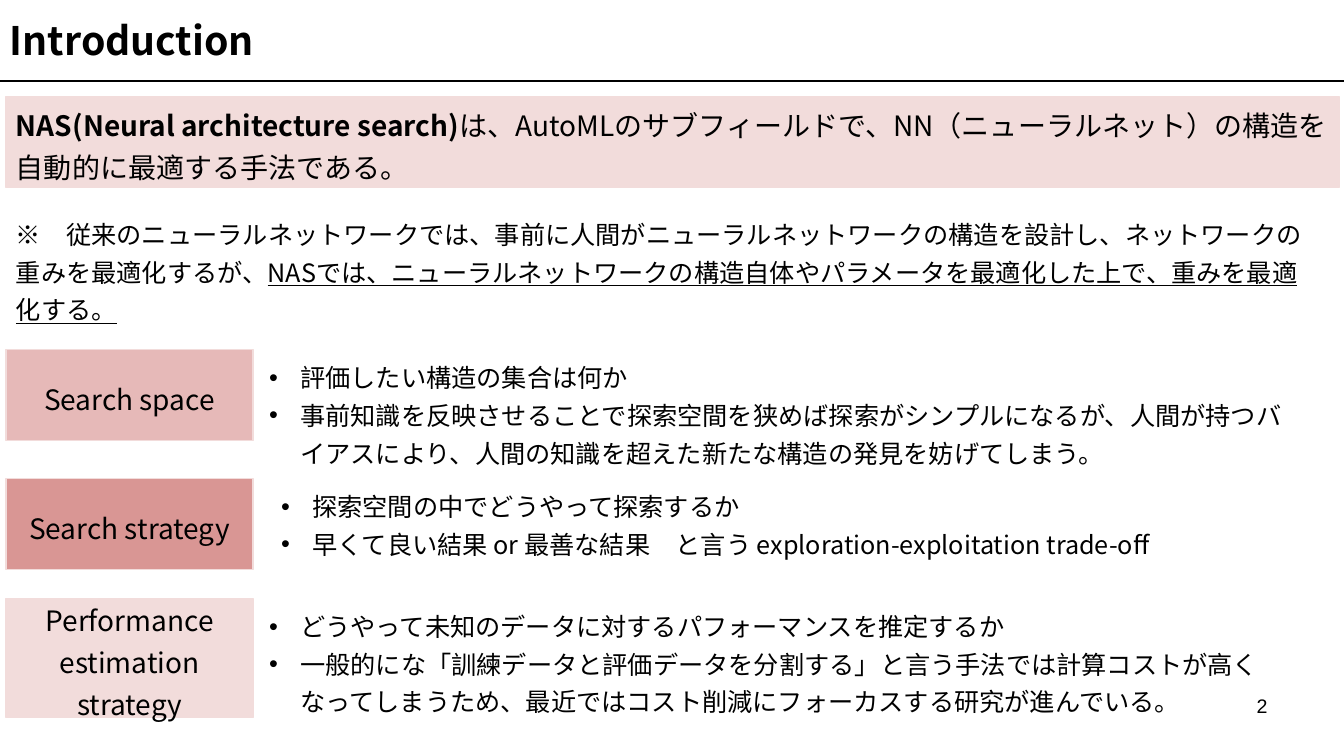
from lxml.etree import SubElement
from pptx import Presentation
from pptx.dml.color import RGBColor
from pptx.enum.shapes import MSO_CONNECTOR, MSO_SHAPE
from pptx.enum.text import MSO_ANCHOR, MSO_AUTO_SIZE, PP_ALIGN
from pptx.oxml.ns import qn
from pptx.util import Pt

# Content: each paragraph is a list of (text, style) runs
TITLE = [[("Introduction", "bold")]]
DEFINITION = [[
    ("NAS(Neural architecture search)", "bold"),
    ("は、AutoMLのサブフィールドで、NN（ニューラルネット）の構造を自動的に最適する手法である。", ""),
]]
REMARK = [[
    ("※　従来のニューラルネットワークでは、事前に人間がニューラルネットワークの構造を設計し、"
     "ネットワークの重みを最適化するが、", ""),
    ("NASでは、ニューラルネットワークの構造自体やパラメータを最適化した上で、重みを最適化する。", "underline"),
]]
# label, fill, top, label height, notes left, notes height, notes
TOPICS = [
    ("Search space", "rose", 347, 90, 257, 124, [
        "評価したい構造の集合は何か",
        "事前知識を反映させることで探索空間を狭めば探索がシンプルになるが、"
        "人間が持つバイアスにより、人間の知識を超えた新たな構造の発見を妨げてしまう。"]),
    ("Search strategy", "red", 475, 90, 269, 86, [
        "探索空間の中でどうやって探索するか",
        "早くて良い結果 or 最善な結果　と言う exploration-exploitation trade-off"]),
    ("Performance estimation strategy", "pale", 594, 118, 257, 124, [
        "どうやって未知のデータに対するパフォーマンスを推定するか",
        "一般的にな「訓練データと評価データを分割する」と言う手法では計算コストが高くなってしまうため、"
        "最近ではコスト削減にフォーカスする研究が進んでいる。"]),
]
PAGE_NUMBER = [[("2", "")]]

COLORS = {"black": "000000", "pale": "F2DCDB", "rose": "E6B9B8", "red": "D99694"}
FONT, NUMBER_FONT = "Noto Sans CJK JP", "Arial"
WIDTH, HEIGHT = 1333, 750
LEFT, LABEL_WIDTH, NOTES_WIDTH = 6, 245, 1047
INDENT = 31
LINE_SPACING = 1.25


def px(length):
    """One px is a hundredth of an inch."""
    return length * 9144


def color(name):
    return RGBColor.from_string(COLORS[name])


def add_bullet(paragraph):
    properties = paragraph._p.get_or_add_pPr()
    properties.set("marL", str(px(INDENT)))
    properties.set("indent", str(px(-INDENT)))
    SubElement(properties, qn("a:buFont"), typeface="Arial")
    SubElement(properties, qn("a:buChar"), char="•")


def write(frame, paragraphs, size, font=FONT, align=PP_ALIGN.LEFT,
          spacing=LINE_SPACING, bullets=False):
    frame.word_wrap = True
    for index, runs in enumerate(paragraphs):
        paragraph = frame.add_paragraph() if index else frame.paragraphs[0]
        paragraph.alignment = align
        paragraph.line_spacing = spacing
        if bullets:
            add_bullet(paragraph)
        paragraph.font.size = Pt(size)
        paragraph.font.color.rgb = color("black")
        paragraph.font.name = font
        SubElement(paragraph.font._element, qn("a:ea"), typeface=font)
        for text, style in runs:
            run = paragraph.add_run()
            run.text = text
            if style == "bold":
                run.font.bold = True
            elif style == "underline":
                run.font.underline = True


def add_text(slide, box, paragraphs, size, grow=True, **options):
    frame = slide.shapes.add_textbox(*map(px, box)).text_frame
    write(frame, paragraphs, size, **options)
    frame.auto_size = MSO_AUTO_SIZE.SHAPE_TO_FIT_TEXT if grow else MSO_AUTO_SIZE.NONE


def add_panel(slide, box, fill, paragraphs, align):
    shape = slide.shapes.add_shape(MSO_SHAPE.RECTANGLE, *map(px, box))
    shape.shadow.inherit = False
    shape.fill.solid()
    shape.fill.fore_color.rgb = color(fill)
    shape.line.color.rgb = color("pale")
    shape.line.width = Pt(1)
    shape.text_frame.vertical_anchor = MSO_ANCHOR.MIDDLE
    write(shape.text_frame, paragraphs, 20, align=align)


def main():
    presentation = Presentation()
    presentation.slide_width, presentation.slide_height = px(WIDTH), px(HEIGHT)
    slide = presentation.slides.add_slide(presentation.slide_layouts[6])

    # Title and rule
    rule = slide.shapes.add_connector(MSO_CONNECTOR.STRAIGHT, 0, px(80), px(WIDTH), px(80))
    rule.line.color.rgb = color("black")
    rule.line.width = Pt(1.5)
    SubElement(rule._element.spPr, qn("a:effectLst"))
    add_text(slide, (0, 11, 691, 57), TITLE, 28, spacing=1.0)

    # Definition and remark
    add_panel(slide, (LEFT, 96, 1322, 90), "pale", DEFINITION, PP_ALIGN.LEFT)
    add_text(slide, (LEFT, 205, 1298, 124), REMARK, 18)

    # Topics: a label with its notes
    for label, fill, top, label_height, notes_left, notes_height, notes in TOPICS:
        add_panel(slide, (LEFT, top, LABEL_WIDTH, label_height), fill,
                  [[(label, "")]], PP_ALIGN.CENTER)
        add_text(slide, (notes_left, top, NOTES_WIDTH, notes_height),
                 [[(note, "")] for note in notes], 18, bullets=True)

    # Page number
    add_text(slide, (956, 683, 311, 52), PAGE_NUMBER, 14, grow=False,
             font=NUMBER_FONT, align=PP_ALIGN.RIGHT, spacing=1.0)

    presentation.save("out.pptx")


if __name__ == "__main__":
    main()
